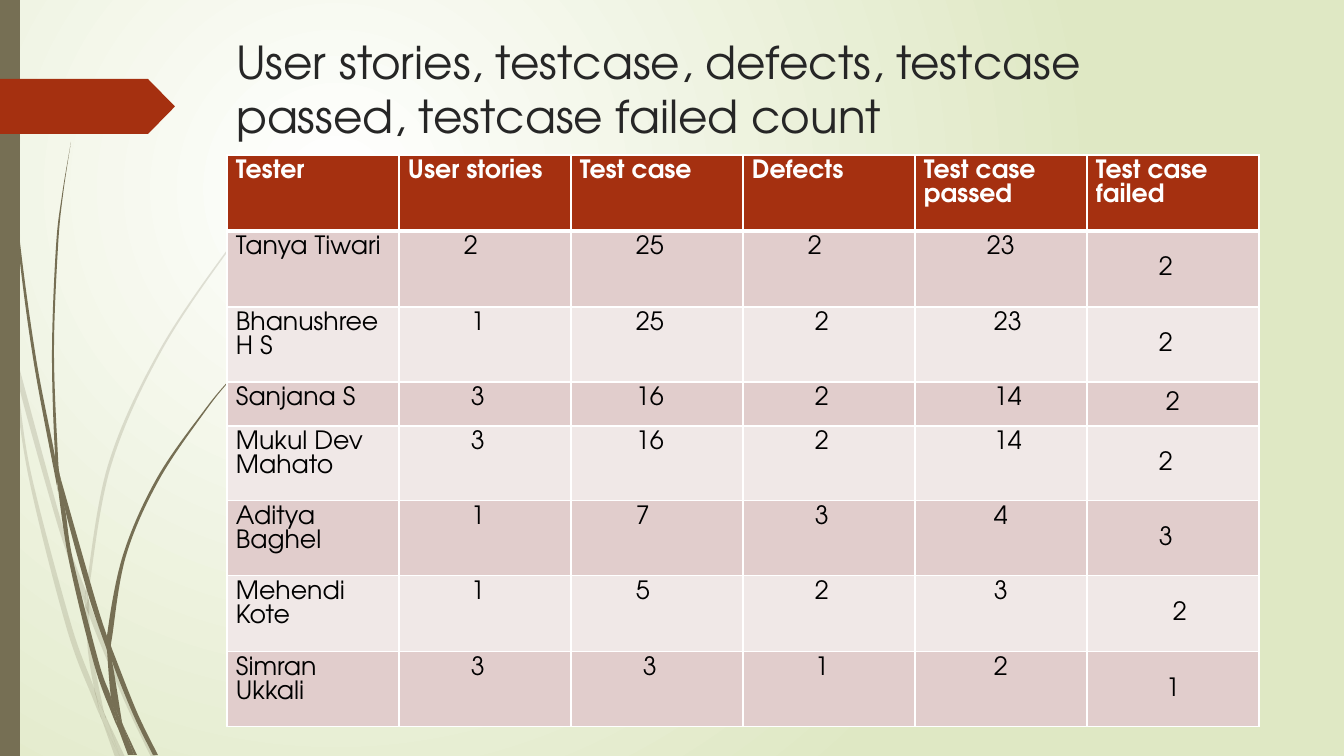
import dataclasses
import pptx
import pptx.dml.color
import pptx.enum.shapes
import pptx.enum.text
import pptx.oxml
import pptx.oxml.ns
import pptx.util

PX = 12192000 / 1344
SLIDE_SIZE = (1344, 756)


@dataclasses.dataclass(frozen=True)
class Theme:
    font: str = "TeX Gyre Adventor"
    accent: str = "A53010"
    wisp: str = "766F54"
    glow: str = "FFFFFF"
    meadow: str = "DFE8C4"
    heading: str = "262626"
    body: str = "000000"
    grid: str = "FFFFFF"
    bands: tuple = ("E1CDCC", "F0E8E7")
    title_size: float = 32.4
    table_size: int = 18


THEME = Theme()

TITLE = "User stories, testcase, defects, testcase passed, testcase failed count"
TITLE_BOX = (226, 29, 1014, 115)
HEADER = ("Tester", "User stories", "Test case", "Defects", "Test case passed", "Test case failed")
TESTERS = [
    ("Tanya Tiwari", 2, 25, 2, 23, 2),
    ("Bhanushree H S", 1, 25, 2, 23, 2),
    ("Sanjana S", 3, 16, 2, 14, 2),
    ("Mukul Dev Mahato", 3, 16, 2, 14, 2),
    ("Aditya Baghel", 1, 7, 3, 4, 3),
    ("Mehendi Kote", 1, 5, 2, 3, 2),
    ("Simran Ukkali", 3, 3, 1, 2, 1),
]
TABLE_ORIGIN = (227, 155)
COLUMN_WIDTH = 172
ROW_HEIGHTS = (76, 76, 75, 44, 75, 75, 76, 75)
COLUMN_INDENTS = (0, 63, 56, 63, 70, 63)
SPECIAL_INDENTS = {(1, 1): 56, (1, 3): 56, (1, 4): 63, (3, 5): 70, (6, 5): 77, (7, 2): 63, (7, 5): 70}

STRIP_BOX = (0, 0, 20, 756)
ARROW_BOX = (0, 79, 175, 55)
ARROW_POINT = 0.49

PALE_BLADES = [
    ([(0, 284), (9, 325), (11, 353)], [(0, 301), (10, 347), (11, 353)]),
    ([(14, 348), (62, 524), (86, 591)], [(14, 348), (17, 379), (58, 526), (85, 604)]),
    ([(89, 601), (93, 612), (128, 698), (156, 757)], [(89, 601), (89, 615), (124, 700), (151, 757)]),
    ([(106, 717), (125, 757)], [(106, 717), (120, 757)]),
    ([(11, 353), (17, 379), (31, 473), (71, 624), (94, 688), (100, 713), (102, 720)],
     [(11, 353), (28, 474), (66, 626), (93, 699), (102, 720)]),
    ([(85, 604), (89, 615), (92, 651), (104, 712), (106, 717)],
     [(85, 604), (88, 651), (94, 688), (97, 698), (106, 717)]),
    ([(314, 154), (291, 176), (270, 199), (230, 246), (159, 351), (108, 465), (86, 589), (86, 591)],
     [(314, 155), (292, 176), (270, 200), (231, 247), (161, 352), (111, 466), (89, 589), (89, 601)]),
    ([(102, 720), (115, 757)], [(102, 720), (120, 757)]),
    ([(86, 591), (85, 604), (89, 615)], [(86, 591), (89, 601), (89, 615)]),
    ([(94, 688), (100, 713), (102, 720), (120, 757)], [(94, 688), (97, 698), (106, 717), (120, 757)]),
]
DARK_BLADES = [
    ([(3, 0), (4, 48), (7, 111), (17, 235), (33, 358), (56, 481), (57, 485)],
     [(4, 0), (5, 48), (8, 110), (19, 234), (36, 358), (55, 457), (57, 485)]),
    ([(60, 476), (94, 595), (107, 636)], [(60, 476), (65, 509), (89, 597), (107, 650)]),
    ([(111, 646), (114, 654), (137, 712), (158, 755)], [(111, 646), (112, 661), (133, 714), (153, 755)]),
    ([(57, 481), (69, 561), (94, 664), (112, 714), (118, 728)],
     [(57, 481), (65, 509), (73, 560), (99, 663), (111, 697), (117, 723), (118, 728)]),
    ([(71, 142), (62, 195), (56, 247), (52, 352), (55, 453), (60, 476)],
     [(71, 142), (63, 195), (58, 247), (54, 352), (58, 457), (60, 476)]),
    ([(123, 725), (134, 755)], [(123, 725), (137, 755)]),
    ([(55, 453), (55, 457), (57, 481), (65, 509)], [(55, 453), (60, 476), (65, 509)]),
    ([(262, 347), (247, 361), (233, 376), (206, 408), (157, 478), (123, 555), (107, 636), (111, 646)],
     [(263, 347), (247, 362), (233, 377), (207, 409), (159, 480), (126, 556), (112, 638), (111, 646)]),
    ([(118, 728), (128, 755)], [(118, 728), (132, 755)]),
    ([(107, 650), (111, 697), (117, 712), (123, 725)], [(107, 650), (112, 661), (122, 722), (123, 725)]),
    ([(107, 636), (107, 650), (112, 661)], [(107, 636), (111, 646), (112, 661)]),
    ([(111, 697), (117, 723), (118, 728), (131, 755)], [(111, 697), (117, 712), (123, 725), (134, 755)]),
]


def emu(*lengths):
    return [pptx.util.Emu(round(length * PX)) for length in lengths]


def color(value):
    return pptx.dml.color.RGBColor.from_string(value)


def assign(target, formats):
    for name, value in formats.items():
        setattr(target, name, value)


def style_text(frame, size, tint, bold=False):
    for paragraph in frame.paragraphs:
        for run in paragraph.runs:
            assign(run.font, {"name": THEME.font, "size": pptx.util.Pt(size), "bold": bold})
            run.font.color.rgb = color(tint)


def xml(text):
    return pptx.oxml.parse_xml(text.format(ns=pptx.oxml.ns.nsdecls("a")))


def paint(shape, tint, opacity=100):
    shape.shadow.inherit = False
    shape.fill.solid()
    shape.fill.fore_color.rgb = color(tint)
    shape.line.fill.background()
    if opacity < 100:
        tone = shape.fill._xPr.find(".//" + pptx.oxml.ns.qn("a:srgbClr"))
        tone.append(xml(f'<a:alpha {{ns}} val="{opacity * 1000}"/>'))


def bend(segments, points):
    padded = [points[0], *points, points[-1]]
    for segment, before, start, end, after in zip(segments, padded, padded[1:], padded[2:], padded[3:]):
        leave = [s + (e - b) / 6 for b, s, e in zip(before, start, end)]
        arrive = [e - (a - s) / 6 for s, e, a in zip(start, end, after)]
        knots = "".join(f'<a:pt x="{round(x)}" y="{round(y)}"/>' for x, y in (leave, arrive, end))
        segment.getparent().replace(segment, xml(f"<a:cubicBezTo {{ns}}>{knots}</a:cubicBezTo>"))


def draw_blade(slide, left, right, opacity):
    start, *outline = [(x * 100, y * 100) for x, y in left + right[::-1]]
    builder = slide.shapes.build_freeform(*start, scale=PX / 100)
    builder.add_line_segments(outline, close=True)
    blade = builder.convert_to_shape()
    paint(blade, THEME.wisp, opacity)
    segments = list(blade._element.iter(pptx.oxml.ns.qn("a:lnTo")))
    knots = [(int(pt.get("x")), int(pt.get("y"))) for pt in blade._element.iter(pptx.oxml.ns.qn("a:pt"))]
    turn = len(left)
    bend(segments[:turn - 1], knots[:turn])
    bend(segments[turn:len(outline)], knots[turn:len(outline) + 1])


def draw_background(slide):
    fill = slide.background.fill
    fill.gradient()
    for stop, position, tint in zip(fill.gradient_stops, (0, 1), (THEME.glow, THEME.meadow)):
        stop.position = position
        stop.color.rgb = color(tint)
    gradient = fill._xPr.find(pptx.oxml.ns.qn("a:gradFill"))
    linear = gradient.find(pptx.oxml.ns.qn("a:lin"))
    gradient.replace(linear, xml(
        '<a:path {ns} path="circle"><a:fillToRect l="50000" t="50000" r="100000" b="100000"/></a:path>'))


def draw_decoration(slide):
    for blades, opacity in ((PALE_BLADES, 20), (DARK_BLADES, 100)):
        for left, right in blades:
            draw_blade(slide, left, right, opacity)
    kinds = pptx.enum.shapes.MSO_SHAPE
    paint(slide.shapes.add_shape(kinds.RECTANGLE, *emu(*STRIP_BOX)), THEME.wisp)
    arrow = slide.shapes.add_shape(kinds.PENTAGON, *emu(*ARROW_BOX))
    arrow.adjustments[0] = ARROW_POINT
    paint(arrow, THEME.accent)


def draw_title(slide):
    title = slide.shapes.title
    assign(title, dict(zip(("left", "top", "width", "height"), emu(*TITLE_BOX))))
    title.text_frame.text = TITLE
    assign(title.text_frame, {"word_wrap": True, "vertical_anchor": pptx.enum.text.MSO_ANCHOR.TOP,
                              "auto_size": pptx.enum.text.MSO_AUTO_SIZE.NONE})
    title.text_frame.paragraphs[0].alignment = pptx.enum.text.PP_ALIGN.LEFT
    style_text(title.text_frame, THEME.title_size, THEME.heading)


def draw_borders(cell, widths):
    for index, (side, width) in enumerate(widths.items()):
        cell._tc.get_or_add_tcPr().insert(index, xml(
            f'<a:ln{side} {{ns}} w="{pptx.util.Pt(width)}"><a:solidFill>'
            f'<a:srgbClr val="{THEME.grid}"/></a:solidFill></a:ln{side}>'))


def draw_table(slide):
    records = [HEADER, *TESTERS]
    size = (COLUMN_WIDTH * len(HEADER), sum(ROW_HEIGHTS))
    table = slide.shapes.add_table(len(records), len(HEADER), *emu(*TABLE_ORIGIN, *size)).table
    table.horz_banding = False
    anchors = pptx.enum.text.MSO_ANCHOR
    for column in table.columns:
        column.width = emu(COLUMN_WIDTH)[0]
    for r, (record, height) in enumerate(zip(records, ROW_HEIGHTS)):
        table.rows[r].height = emu(height)[0]
        is_header = r == 0
        for c, value in enumerate(record):
            cell = table.cell(r, c)
            cell.text = str(value)
            cell.fill.solid()
            cell.fill.fore_color.rgb = color(THEME.accent if is_header else THEME.bands[(r - 1) % 2])
            indent = 0 if is_header else SPECIAL_INDENTS.get((r, c), COLUMN_INDENTS[c])
            is_centered = not is_header and c == len(HEADER) - 1
            assign(cell, {"margin_left": emu(9 + indent)[0],
                          "vertical_anchor": anchors.MIDDLE if is_centered else anchors.TOP})
            style_text(cell.text_frame, THEME.table_size, THEME.grid if is_header else THEME.body, is_header)
            draw_borders(cell, {"L": 1, "R": 1, "T": 3 if r == 1 else 1, "B": 3 if is_header else 1})


def main():
    deck = pptx.Presentation()
    assign(deck, dict(zip(("slide_width", "slide_height"), emu(*SLIDE_SIZE))))
    slide = deck.slides.add_slide(deck.slide_layouts[5])
    draw_background(slide)
    draw_decoration(slide)
    draw_title(slide)
    draw_table(slide)
    deck.save("out.pptx")


if __name__ == "__main__":
    main()
